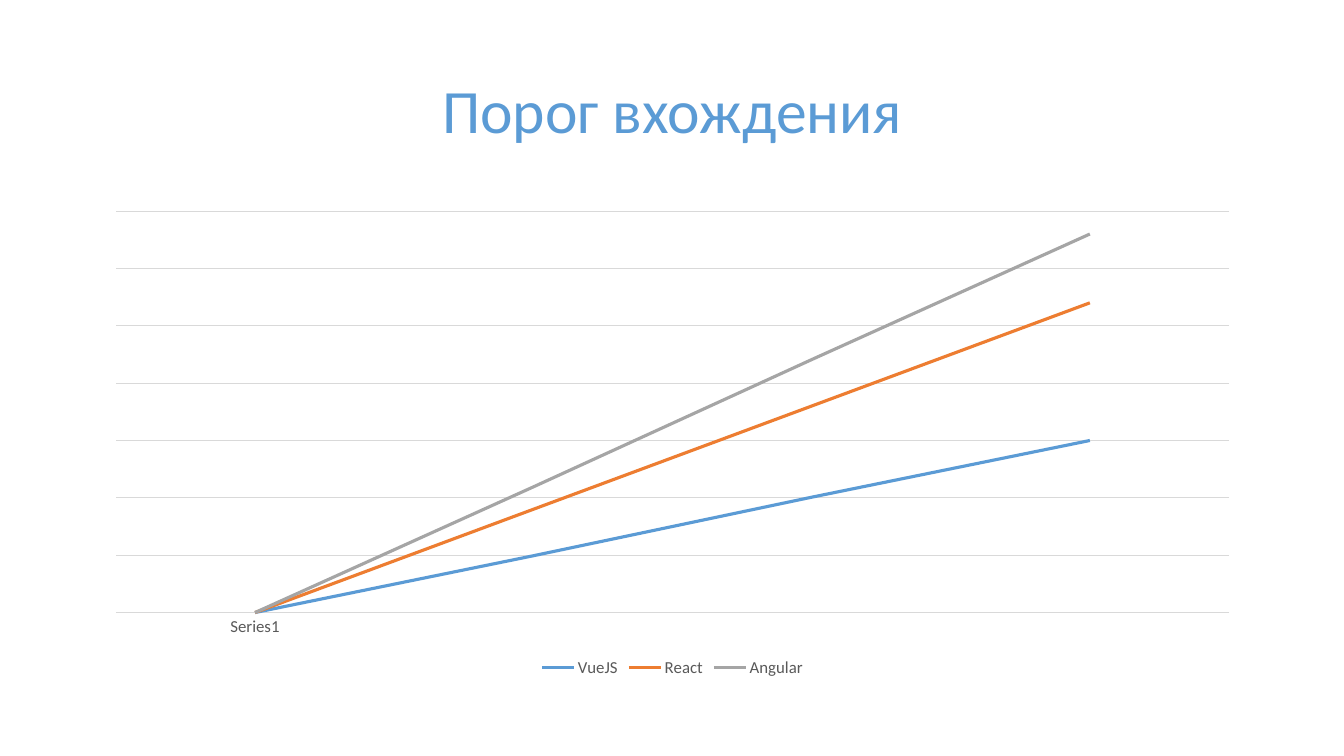
import pptx
import pptx.chart.data
import pptx.dml.color
import pptx.enum.chart
import pptx.enum.text
import pptx.util

Inches = pptx.util.Inches
Pt = pptx.util.Pt

FONT = "Calibri"
COLORS = {
    "title": "5B9BD5",
    "label": "595959",
    "grid": "D9D9D9",
    "VueJS": "5B9BD5",
    "React": "ED7D31",
    "Angular": "A5A5A5",
}
STAGES = ["Series1", "", "", ""]
THRESHOLDS = {
    "VueJS": [0, 33, 67, 100],
    "React": [0, 27, 53, 80],
    "Angular": [0, 13, 27, 40],
}
GRID_STEP = 33.33
GRID_ROWS = 7


def rgb(name):
    """Return the named palette colour."""
    return pptx.dml.color.RGBColor.from_string(COLORS[name])


def style_font(font, size, color):
    """Apply the deck typeface with a size and a colour."""
    font.name = FONT
    font.size = Pt(size)
    font.color.rgb = rgb(color)


def style_line(line, color, width):
    """Give a line its colour and width."""
    line.color.rgb = rgb(color)
    line.width = Pt(width)


def add_text(slide, text, box, *, size, color, align, anchor, spacing):
    """Place one formatted paragraph in the box."""
    frame = slide.shapes.add_textbox(*map(Inches, box)).text_frame
    frame.word_wrap = True
    frame.vertical_anchor = anchor
    paragraph = frame.paragraphs[0]
    paragraph.alignment = align
    paragraph.line_spacing = spacing
    run = paragraph.add_run()
    run.text = text
    style_font(run.font, size, color)


def add_threshold_chart(slide, box):
    """Draw the stacked lines of entry thresholds in the box."""
    data = pptx.chart.data.CategoryChartData()
    data.categories = STAGES
    for framework, values in THRESHOLDS.items():
        data.add_series(framework, values)
    chart = slide.shapes.add_chart(
        pptx.enum.chart.XL_CHART_TYPE.LINE_STACKED, *map(Inches, box), data
    ).chart
    chart.has_title = False
    chart.font.name = FONT
    chart.font.size = Pt(10)

    for series in chart.plots[0].series:
        series.smooth = False
        series.marker.style = pptx.enum.chart.XL_MARKER_STYLE.NONE
        style_line(series.format.line, series.name, 2.25)

    stage_axis = chart.category_axis
    stage_axis.major_tick_mark = pptx.enum.chart.XL_TICK_MARK.NONE
    style_font(stage_axis.tick_labels.font, 12, "label")
    style_line(stage_axis.format.line, "grid", 0.75)

    threshold_axis = chart.value_axis
    threshold_axis.visible = False
    threshold_axis.minimum_scale = 0
    threshold_axis.maximum_scale = GRID_STEP * GRID_ROWS
    threshold_axis.major_unit = GRID_STEP
    threshold_axis.has_major_gridlines = True
    style_line(threshold_axis.major_gridlines.format.line, "grid", 0.75)

    chart.has_legend = True
    chart.legend.position = pptx.enum.chart.XL_LEGEND_POSITION.BOTTOM
    chart.legend.include_in_layout = False
    style_font(chart.legend.font, 12, "label")


def build_threshold_slide(deck, box):
    """Add the slide with its heading above the chart."""
    left, top, width, height = box
    heading_height, gap = 1.45, 0.15
    chart_offset = heading_height + gap
    slide = deck.slides.add_slide(deck.slide_layouts[6])
    add_text(
        slide,
        "Порог вхождения",
        (left, top, width, heading_height),
        size=44,
        color="title",
        align=pptx.enum.text.PP_ALIGN.CENTER,
        anchor=pptx.enum.text.MSO_ANCHOR.MIDDLE,
        spacing=0.9,
    )
    add_threshold_chart(
        slide, (left, top + chart_offset, width, height - chart_offset)
    )


def main():
    """Build and save the deck."""
    deck = pptx.Presentation()
    deck.slide_width = Inches(13.33)
    deck.slide_height = Inches(7.5)
    build_threshold_slide(deck, (0.92, 0.4, 11.5, 6.36))
    deck.save("out.pptx")


if __name__ == "__main__":
    main()
